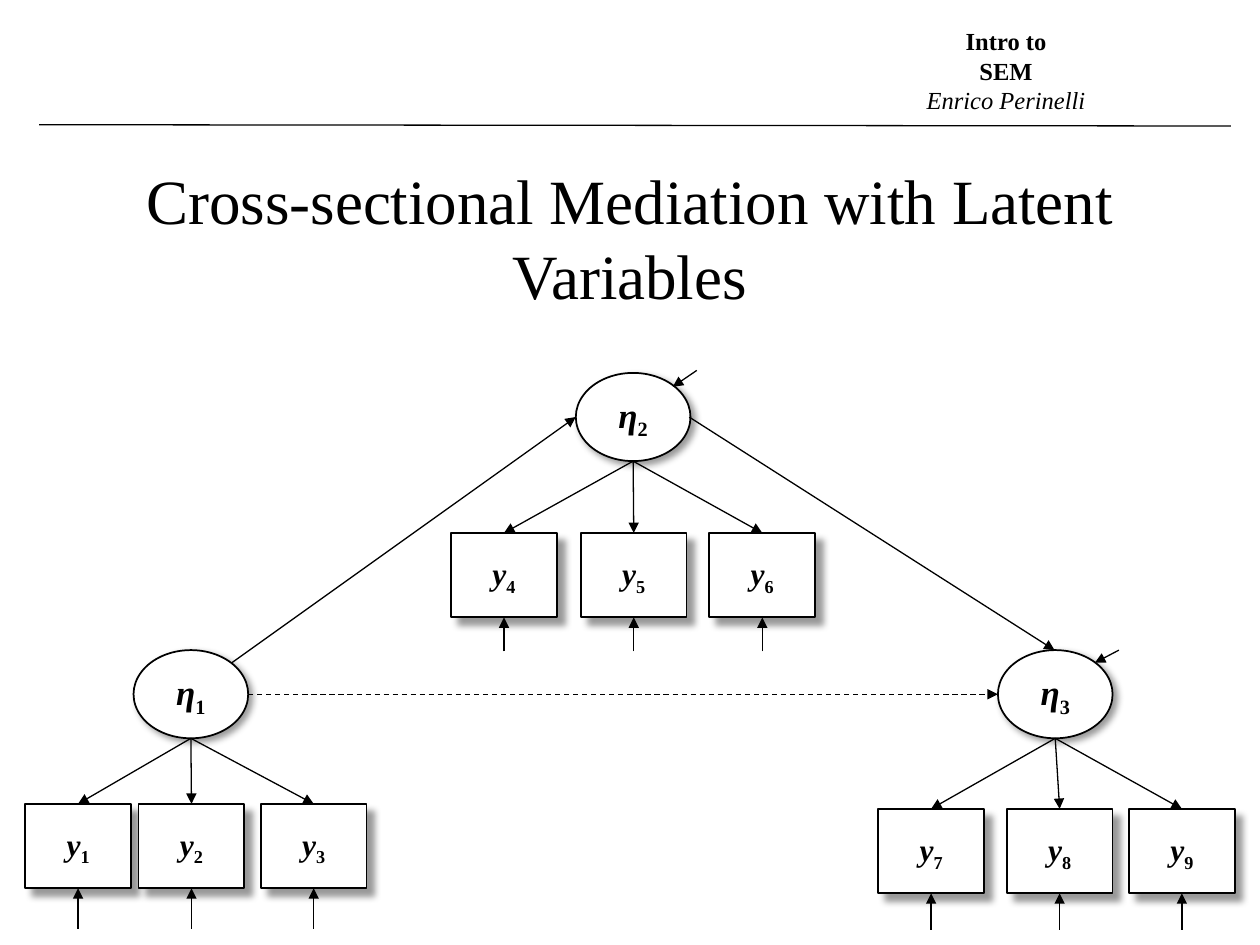
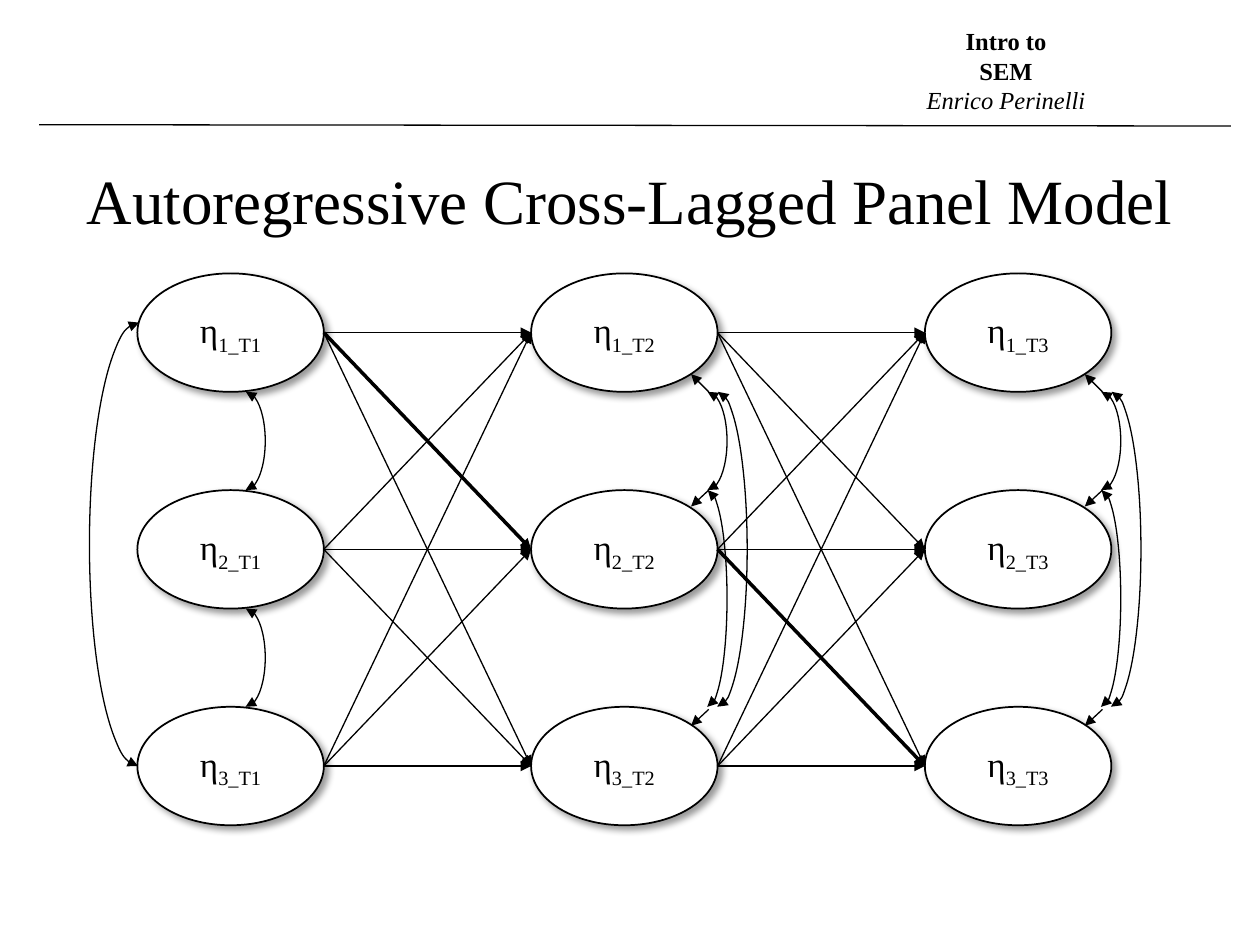
"""Build two slides of structural equation model diagrams."""
from itertools import product

from lxml.etree import SubElement
from pptx import Presentation
from pptx.dml.color import RGBColor
from pptx.enum.dml import MSO_LINE
from pptx.enum.shapes import MSO_CONNECTOR, MSO_SHAPE
from pptx.enum.text import MSO_ANCHOR, MSO_AUTO_SIZE, PP_ALIGN
from pptx.oxml.ns import qn
from pptx.util import Inches, Pt

THEME = {
    "ink": RGBColor(0, 0, 0), "paper": RGBColor(255, 255, 255), "font": "Times New Roman",
    "title": Pt(36), "latent": Pt(20), "indicator": Pt(18), "header": Pt(14),
    "outline": Pt(1), "thin": Pt(0.75), "thick": Pt(2),
}
BOLD_ITALIC = {"bold": True, "italic": True}

HEADER = [("Intro to", {"bold": True}), ("SEM", {"bold": True}),
          ("Enrico Perinelli", {"italic": True})]

MEDIATION_TITLE = "Cross-sectional Mediation with Latent Variables"
LATENT_W, LATENT_H = 0.91, 0.7
BOX_W, BOX_H = 0.84, 0.67
FACTORS = [
    {"sub": "1", "at": (1.06, 5.16), "box_top": 6.38, "error_end": 7.37,
     "boxes": [("1", 0.2), ("2", 1.1), ("3", 2.07)]},
    {"sub": "3", "at": (7.92, 5.16), "box_top": 6.42, "error_end": 7.38,
     "boxes": [("7", 6.97), ("8", 7.99), ("9", 8.96)]},
    {"sub": "2", "at": (4.57, 2.96), "box_top": 4.23, "error_end": 5.17,
     "boxes": [("4", 3.58), ("5", 4.61), ("6", 5.63)]},
]
STRUCTURAL_PATHS = [
    ((1.84, 5.26), (4.57, 3.31), {}),
    ((1.97, 5.51), (7.92, 5.51), {"dash": MSO_LINE.DASH}),
    ((5.47, 3.31), (8.37, 5.16), {}),
    ((8.88, 5.16), (8.69, 5.26), {}),
    ((5.53, 2.94), (5.34, 3.07), {}),
]

PANEL_TITLE = "Autoregressive Cross-Lagged Panel Model"
WAVES, VARIABLES = 3, 3
WAVE_X, WAVE_STEP = 1.09, 3.125
VAR_Y, VAR_STEP = 2.17, 1.72
PANEL_W, PANEL_H = 1.48, 0.94
MEDIATED = {(0, 0, 1), (1, 1, 2)}
DISTURBANCES = [(3.11, 2.97), (3.89, 4.02), (5.63, 5.76)]
FIRST_WAVE_ARCS = [(1.1, 2.56, 6.08, 0.78, 90), (1.95, 3.11, 3.89, 0.31, 270),
                   (1.95, 4.83, 5.61, 0.31, 270)]
LATER_WAVE_ARCS = [(1.4, 3.11, 3.89, 0.31, 270), (1.4, 3.89, 5.61, 0.31, 270),
                   (1.48, 3.11, 5.61, 0.47, 270)]


def add_run(p, text, size, fmt, baseline=None):
    r = p.add_run()
    r.text = text
    for key, value in {"name": THEME["font"], "size": size, **fmt}.items():
        setattr(r.font, key, value)
    r.font.color.rgb = THEME["ink"]
    if baseline:
        r.font._element.set("baseline", str(baseline))


def add_text(s, box, lines, size, wrap):
    tf = s.shapes.add_textbox(*map(Inches, box)).text_frame
    tf.word_wrap, tf.auto_size = wrap, MSO_AUTO_SIZE.SHAPE_TO_FIT_TEXT
    for i, (text, fmt) in enumerate(lines):
        p = tf.add_paragraph() if i else tf.paragraphs[0]
        p.alignment = PP_ALIGN.CENTER
        add_run(p, text, size, fmt)


def add_node(s, kind, box, symbol, sub, size, fmt, distance):
    sp = s.shapes.add_shape(kind, *map(Inches, box))
    sp.fill.solid()
    sp.fill.fore_color.rgb = THEME["paper"]
    sp.line.color.rgb, sp.line.width = THEME["ink"], THEME["outline"]
    sp.shadow.inherit = False
    shadow = SubElement(sp.element.spPr.find(qn("a:effectLst")), qn("a:outerShdw"),
                        blurRad=str(Pt(4)), dist=str(Pt(distance)), dir="2700000",
                        algn="tl", rotWithShape="0")
    color = SubElement(shadow, qn("a:srgbClr"), val=str(THEME["ink"]))
    SubElement(color, qn("a:alpha"), val="40000")
    tf = sp.text_frame
    tf.vertical_anchor = MSO_ANCHOR.MIDDLE
    p = tf.paragraphs[0]
    p.alignment = PP_ALIGN.CENTER
    add_run(p, symbol, size, fmt)
    add_run(p, sub, size, {**fmt, "italic": False}, -25000)
    return sp


def style_line(sp, width, ends, dash=None):
    sp.line.color.rgb, sp.line.width = THEME["ink"], width
    if dash:
        sp.line.dash_style = dash
    ln = sp.element.spPr.find(qn("a:ln"))
    for end in ends:
        SubElement(ln, qn(f"a:{end}"), type="triangle")


def add_line(s, start, end, width=THEME["thin"], ends=("tailEnd",), dash=None):
    sp = s.shapes.add_connector(MSO_CONNECTOR.STRAIGHT, *map(Inches, (*start, *end)))
    style_line(sp, width, ends, dash)
    SubElement(sp.element.spPr, qn("a:effectLst"))
    return sp


def add_arc(s, x, top, bottom, depth, rotation):
    span = bottom - top
    box = x - span / 2, (top + bottom - depth) / 2, span, depth
    sp = s.shapes.add_shape(MSO_SHAPE.ARC, *map(Inches, box))
    sp.adjustments[0], sp.adjustments[1] = 107.91, 215.92
    sp.rotation = rotation
    sp.element.spPr.find(qn("a:xfrm")).set("flipV", "1")
    sp.fill.background()
    sp.shadow.inherit = False
    style_line(sp, THEME["thin"], ("headEnd", "tailEnd"))


def add_slide(prs, title, title_h):
    s = prs.slides.add_slide(prs.slide_layouts[6])
    add_line(s, (0.31, 0.99), (9.77, 1), ends=())
    add_text(s, (0.47, 1.23, 9.06, title_h), [(title, {})], THEME["title"], True)
    add_text(s, (7.25, 0.16, 1.47, 0.81), HEADER, THEME["header"], False)
    return s


def add_factor(s, factor):
    x, y = factor["at"]
    add_node(s, MSO_SHAPE.OVAL, (x, y, LATENT_W, LATENT_H), "η", factor["sub"],
             THEME["latent"], BOLD_ITALIC, 3)
    base = x + LATENT_W / 2, y + LATENT_H
    top = factor["box_top"]
    for sub, left in factor["boxes"]:
        box = add_node(s, MSO_SHAPE.RECTANGLE, (left, top, BOX_W, BOX_H), "y", sub,
                       THEME["indicator"], BOLD_ITALIC, 6)
        mid = left + BOX_W / 2
        add_line(s, base, (mid, top)).end_connect(box, 0)
        error = add_line(s, (mid, factor["error_end"]), (mid, top + BOX_H))
        error.end_connect(box, 2)


def build_mediation(prs):
    s = add_slide(prs, MEDIATION_TITLE, 1.31)
    for factor in FACTORS:
        add_factor(s, factor)
    for start, end, fmt in STRUCTURAL_PATHS:
        add_line(s, start, end, **fmt)


def build_panel(prs):
    s = add_slide(prs, PANEL_TITLE, 0.71)
    lefts = [WAVE_X + WAVE_STEP * i for i in range(WAVES)]
    tops = [VAR_Y + VAR_STEP * i for i in range(VARIABLES)]
    mids = [top + PANEL_H / 2 for top in tops]
    for (wave, x), (var, y) in product(enumerate(lefts, 1), enumerate(tops, 1)):
        add_node(s, MSO_SHAPE.OVAL, (x, y, PANEL_W, PANEL_H), "η", f"{var}_T{wave}",
                 THEME["latent"], {}, 3)
    for wave, a, b in product(range(WAVES - 1), range(VARIABLES), range(VARIABLES)):
        width = THEME["thick" if (wave, a, b) in MEDIATED else "thin"]
        add_line(s, (lefts[wave] + PANEL_W, mids[a]), (lefts[wave + 1], mids[b]), width)
    for arc in FIRST_WAVE_ARCS:
        add_arc(s, *arc)
    for x in lefts[1:]:
        for start_y, end_y in DISTURBANCES:
            add_line(s, (x + 1.41, start_y), (x + 1.27, end_y))
        for offset, *arc in LATER_WAVE_ARCS:
            add_arc(s, x + offset, *arc)


def main():
    prs = Presentation()
    prs.slide_width, prs.slide_height = Inches(10), Inches(7.5)
    build_mediation(prs)
    build_panel(prs)
    prs.save("out.pptx")


if __name__ == "__main__":
    main()
